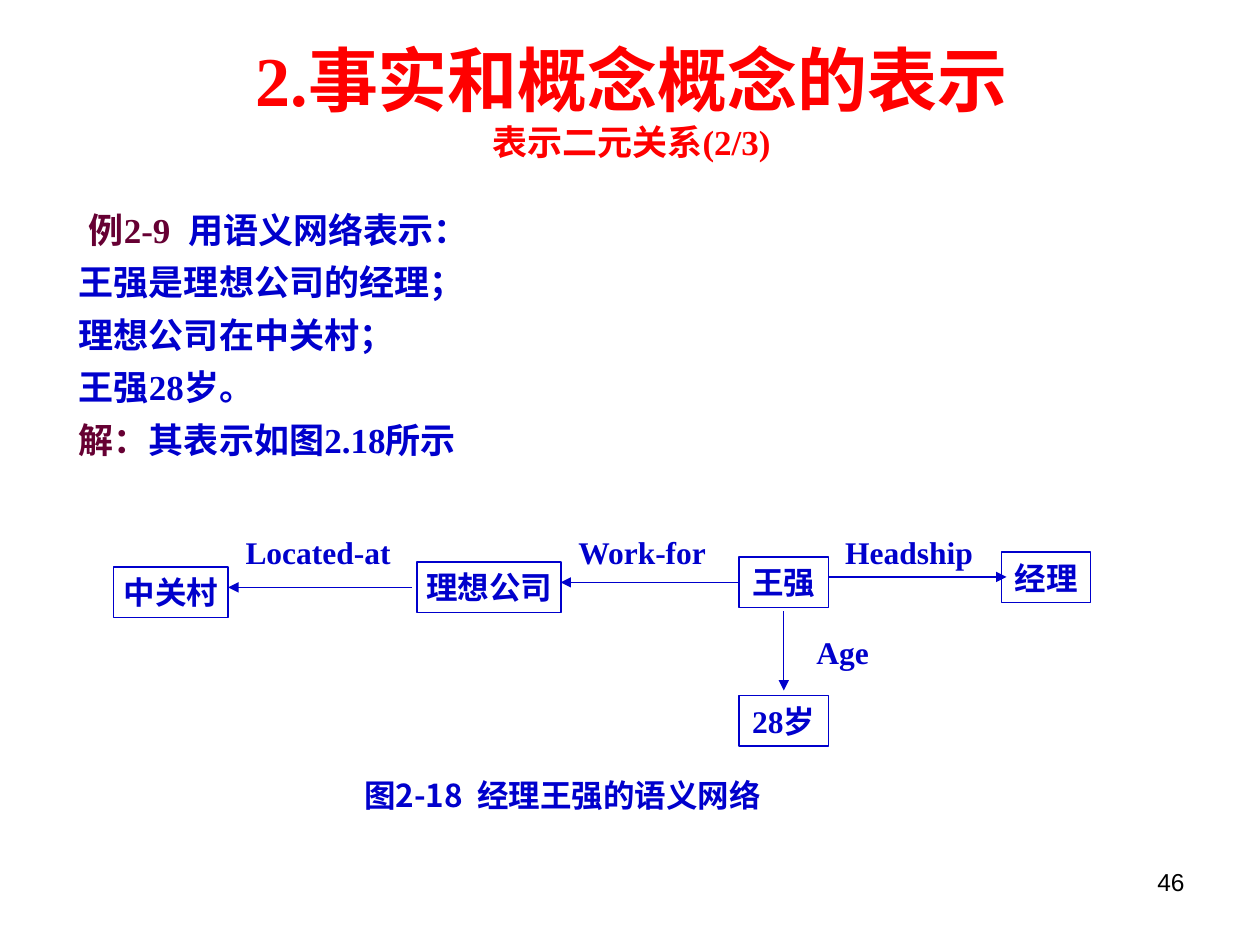
from typing import NamedTuple

from lxml import etree
from pptx import Presentation
from pptx.dml.color import RGBColor
from pptx.enum import shapes, text
from pptx.oxml.ns import qn
from pptx.util import Cm, Pt

BLUE, RED, PLUM, BLACK = "0000CC", "FF0000", "660033", "000000"
SERIF, SANS, CJK = "Times New Roman", "Arial", "Noto Sans CJK SC"
LEFT, CENTER, RIGHT = text.PP_ALIGN.LEFT, text.PP_ALIGN.CENTER, text.PP_ALIGN.RIGHT
NODE_HEIGHT, LABEL_HEIGHT = 1.02, 0.81


class Node(NamedTuple):
    name: str
    left: float
    top: float
    width: float
    font: str = SERIF


class Label(NamedTuple):
    name: str
    left: float
    top: float
    width: float
    font: str = SERIF
    align: text.PP_ALIGN = LEFT


class Arrow(NamedTuple):
    x1: float
    y1: float
    x2: float
    y2: float
    source: str = ""
    side: int = 0


class Span(NamedTuple):
    words: str
    color: str = BLUE


NODES = [
    Node("中关村", 2.29, 11.43, 2.31),
    Node("理想公司", 8.41, 11.33, 2.9),
    Node("王强", 14.9, 11.23, 1.8),
    Node("经理", 20.19, 11.13, 1.8, SANS),
    Node("28岁", 14.9, 14.02, 1.8),
]
LABELS = [
    Label("Located-at", 4.9, 10.72, 3.4),
    Label("Work-for", 11.61, 10.72, 2.9),
    Label("Headship", 16.99, 10.72, 3),
    Label("Age", 16.41, 12.73, 1.3),
    Label("图2-18  经理王强的语义网络", 5.79, 15.62, 11.1, CJK, CENTER),
]
ARROWS = [
    Arrow(8.31, 11.84, 4.6, 11.84),
    Arrow(14.9, 11.74, 11.3, 11.74, "王强", 1),
    Arrow(16.7, 11.63, 20.29, 11.63),
    Arrow(15.8, 12.32, 15.8, 13.92),
]
# Left indent in centimetres, then the spans of the line
BODY = [
    (0.85, [Span("例2-9  ", PLUM), Span("用语义网络表示：")]),
    (0.65, [Span("王强是理想公司的经理；")]),
    (0.65, [Span("理想公司在中关村；")]),
    (0.65, [Span("王强28岁。")]),
    (0.65, [Span("解：", PLUM), Span("其表示如图2.18所示")]),
]


def rgb(value: str) -> RGBColor:
    return RGBColor.from_string(value)


def set_font(font, name: str, size: float, color: str, bold: bool = True) -> None:
    font.name, font.size, font.bold = name, Pt(size), bold
    font.color.rgb = rgb(color)


def set_frame(frame, inset_x: float, inset_y: float, anchor=text.MSO_ANCHOR.TOP) -> None:
    frame.word_wrap = True
    frame.vertical_anchor = anchor
    frame.margin_left = frame.margin_right = Cm(inset_x)
    frame.margin_top = frame.margin_bottom = Cm(inset_y)


def add_box(page, left: float, top: float, width: float, height: float):
    return page.shapes.add_textbox(Cm(left), Cm(top), Cm(width), Cm(height))


def write_line(frame, words: str, font: str, size: float, color: str,
               align: text.PP_ALIGN, bold: bool = True) -> None:
    para = frame.paragraphs[0]
    para.text = words
    para.alignment = align
    set_font(para.font, font, size, color, bold)


def add_title(page) -> None:
    box = add_box(page, 1.3, 0.64, 22.86, 2.72)
    set_frame(box.text_frame, 0.25, 0.13, text.MSO_ANCHOR.MIDDLE)
    para = box.text_frame.paragraphs[0]
    para.alignment = CENTER
    set_font(para.font, SERIF, 40, RED)
    para.add_run().text = "2.事实和概念概念的表示"
    para.add_line_break()
    subtitle = para.add_run()
    subtitle.text = "表示二元关系(2/3)"
    subtitle.font.size = Pt(20)


def add_body(page) -> None:
    box = add_box(page, 0.69, 3.94, 23.6, 5.49)
    set_frame(box.text_frame, 0.25, 0.13)
    for index, (indent, spans) in enumerate(BODY):
        para = box.text_frame.paragraphs[0] if index == 0 else box.text_frame.add_paragraph()
        para._p.get_or_add_pPr().set("marL", str(Cm(indent)))
        para.line_spacing = 1.15
        para.space_before = Pt(1.2 if index else 0)
        para.space_after = Pt(1.2)
        set_font(para.font, SERIF, 20, BLUE)
        for span in spans:
            run = para.add_run()
            run.text = span.words
            if span.color != BLUE:
                run.font.color.rgb = rgb(span.color)


def add_node(page, node: Node):
    box = page.shapes.add_shape(shapes.MSO_SHAPE.RECTANGLE, Cm(node.left), Cm(node.top),
                                Cm(node.width), Cm(NODE_HEIGHT))
    box.shadow.inherit = False
    box.fill.background()
    box.line.color.rgb = rgb(BLUE)
    box.line.width = Pt(0.75)
    set_frame(box.text_frame, 0.05, 0.13)
    write_line(box.text_frame, node.name, node.font, 18, BLUE, CENTER)
    return box


def add_label(page, label: Label) -> None:
    box = add_box(page, label.left, label.top, label.width, LABEL_HEIGHT)
    set_frame(box.text_frame, 0.05, 0.03)
    write_line(box.text_frame, label.name, label.font, 18, BLUE, label.align)


def add_arrow(page, arrow: Arrow, boxes: dict) -> None:
    line = page.shapes.add_connector(shapes.MSO_CONNECTOR.STRAIGHT, Cm(arrow.x1), Cm(arrow.y1),
                                     Cm(arrow.x2), Cm(arrow.y2))
    if arrow.source:
        line.begin_connect(boxes[arrow.source], arrow.side)
    line.line.color.rgb = rgb(BLUE)
    line.line.width = Pt(0.75)
    etree.SubElement(line.line._get_or_add_ln(), qn("a:tailEnd"), type="triangle")
    etree.SubElement(line._element.spPr, qn("a:effectLst"))


def add_page_number(page) -> None:
    box = add_box(page, 18.21, 17.35, 5.92, 1.32)
    set_frame(box.text_frame, 0.25, 0.13)
    write_line(box.text_frame, "46", SANS, 14, BLACK, RIGHT, bold=False)


def main() -> None:
    deck = Presentation()
    deck.slide_width, deck.slide_height = Cm(25.4), Cm(19.05)
    page = deck.slides.add_slide(deck.slide_layouts[6])
    add_title(page)
    add_body(page)
    boxes = {node.name: add_node(page, node) for node in NODES}
    for label in LABELS:
        add_label(page, label)
    for arrow in ARROWS:
        add_arrow(page, arrow, boxes)
    add_page_number(page)
    deck.save("out.pptx")


if __name__ == "__main__":
    main()
